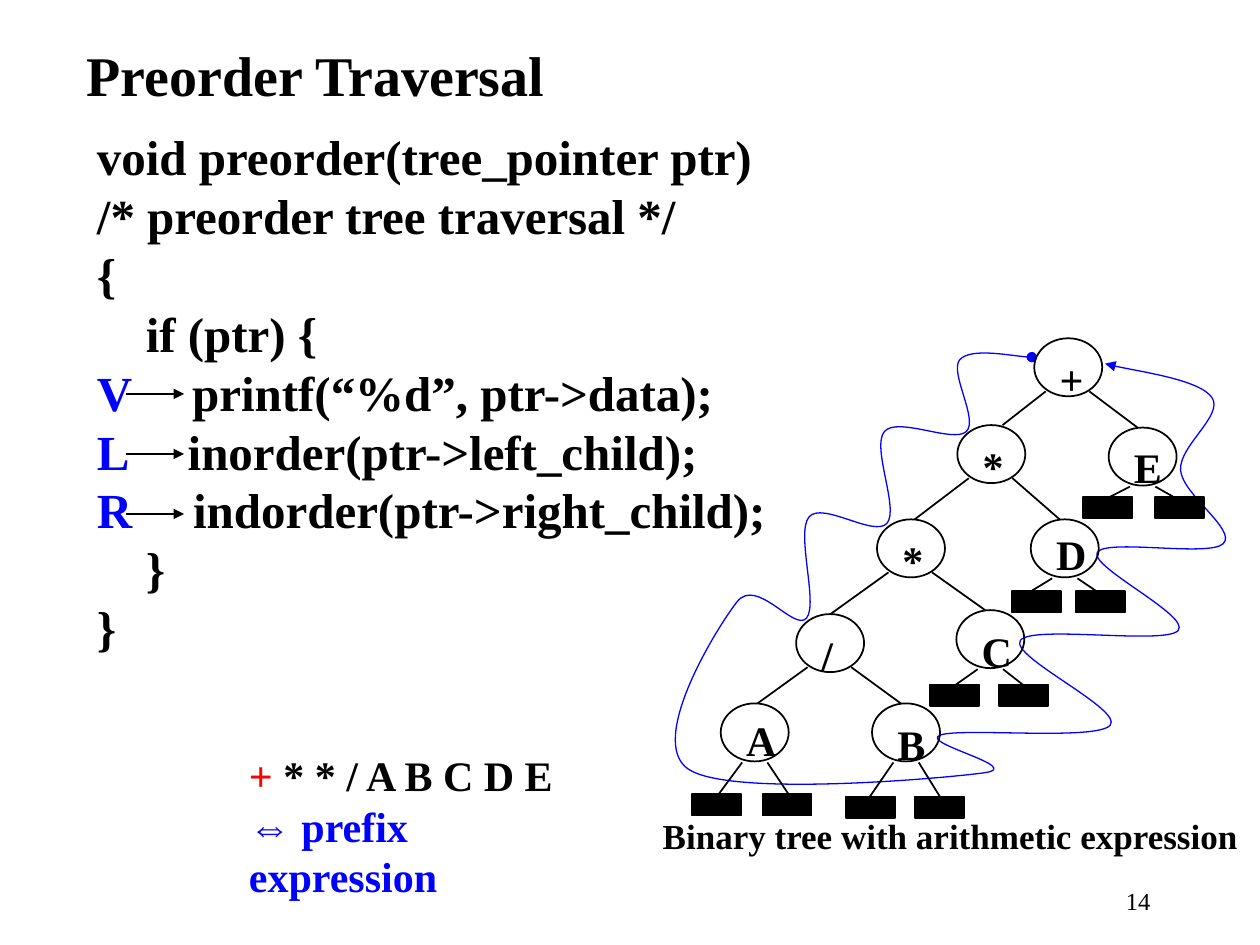
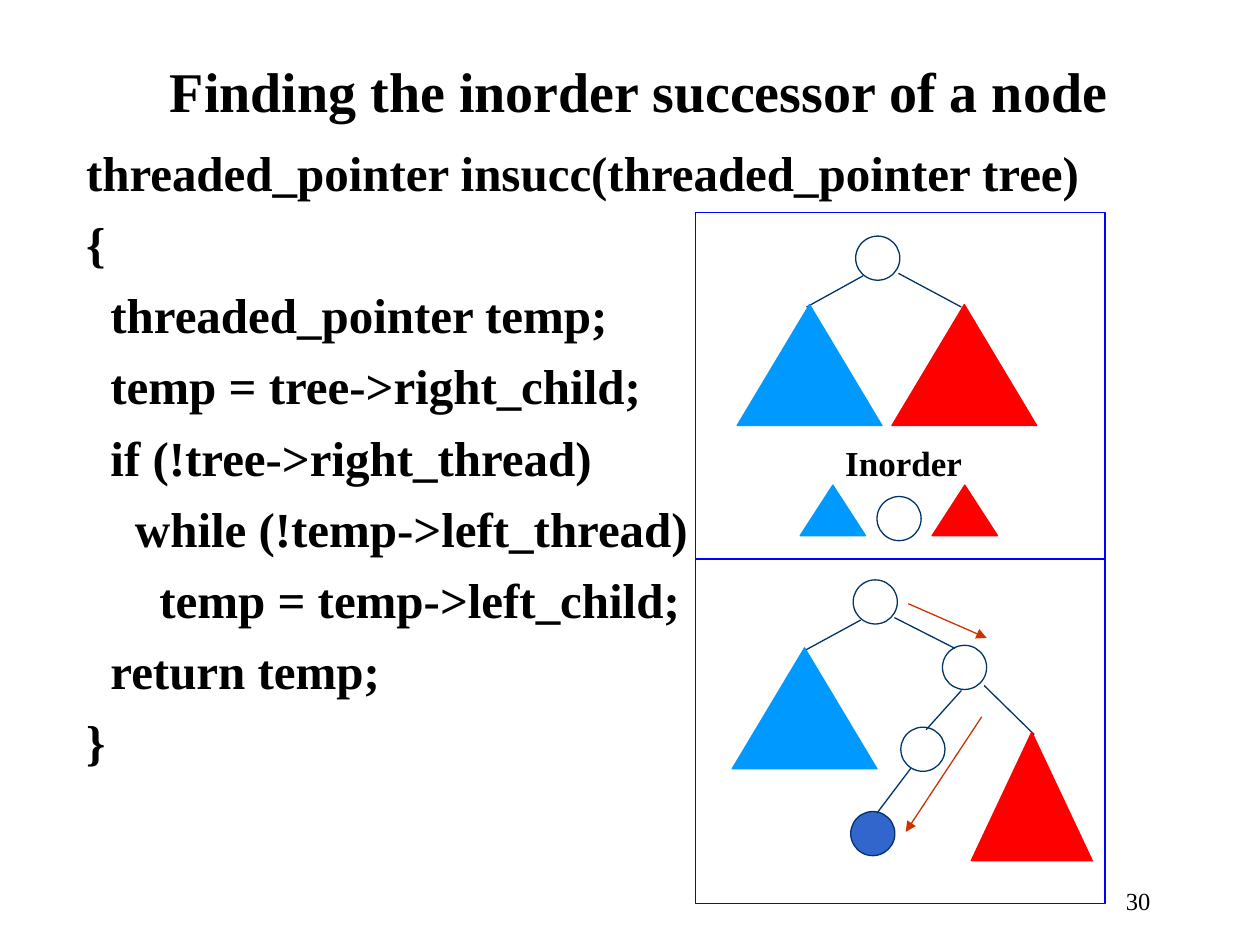
from lxml import etree
from pptx import Presentation
from pptx.dml.color import RGBColor
from pptx.enum.shapes import MSO_CONNECTOR, MSO_SHAPE
from pptx.enum.text import MSO_ANCHOR, MSO_AUTO_SIZE, PP_ALIGN
from pptx.oxml.ns import qn
from pptx.util import Cm, Pt

STRAIGHT = MSO_CONNECTOR.STRAIGHT
OVAL, RECT, TRIANGLE = MSO_SHAPE.OVAL, MSO_SHAPE.RECTANGLE, MSO_SHAPE.ISOSCELES_TRIANGLE
LEFT, RIGHT = PP_ALIGN.LEFT, PP_ALIGN.RIGHT
TOP, NO_FIT = MSO_ANCHOR.TOP, MSO_AUTO_SIZE.NONE

BLACK = RGBColor(0x00, 0x00, 0x00)
BLUE = RGBColor(0x00, 0x00, 0xFF)
RED = RGBColor(0xFF, 0x00, 0x00)
NAVY = RGBColor(0x00, 0x33, 0x66)
SKY = RGBColor(0x00, 0x99, 0xFF)
SUCCESSOR_BLUE = RGBColor(0x33, 0x66, 0xCC)
RUST = RGBColor(0xCC, 0x33, 0x00)
SERIF, SANS = "Times New Roman", "Arial"

PREORDER_CODE = [
    "void preorder(tree_pointer ptr)",
    "/* preorder tree traversal */",
    "{",
    "    if (ptr) {",
    "V\tprintf(“%d”, ptr->data);",
    "L\tinorder(ptr->left_child);",
    "R\tindorder(ptr->right_child);",
    "    }",
    "}",
]
INSUCC_CODE = [
    "threaded_pointer insucc(threaded_pointer tree)",
    "{",
    "  threaded_pointer temp;",
    "  temp = tree->right_child;",
    "  if (!tree->right_thread)",
    "    while (!temp->left_thread)",
    "      temp = temp->left_child;",
    "  return temp;",
    "}",
]
STEP_INDENT = {"V": 1.92, "L": 1.83, "R": 1.94}

# Tree nodes: label, left, top, label drop, null leaves (left x, right x, drop)
NODES = [
    ("+", 7.85, 0.01, 0.18, None),
    ("*", 6.3, 1.76, 0.18, None),
    ("E", 9.35, 1.81, 0.15, (-0.51, 0.94, 1.4)),
    ("*", 4.68, 3.66, 0.18, None),
    ("D", 7.78, 3.66, 0.05, (-0.38, 0.91, 1.45)),
    ("/", 3.05, 5.57, 0.18, None),
    ("C", 6.28, 5.49, 0.18, (-0.53, 0.86, 1.5)),
    ("A", 1.53, 7.37, 0.1, (-0.58, 0.84, 1.83)),
    ("B", 4.58, 7.37, 0.18, (-0.53, 0.86, 1.88)),
]
# Parent, left child, right child, where the edge meets the left child
FAMILIES = [(0, 1, 2, 0.91), (1, 3, 4, 0.76), (3, 5, 6, 0.69), (5, 7, 8, 0.74)]
WALK = [
    (7.8, 0.39), (6.35, 0.44), (6.48, 1.89), (4.83, 1.89), (4.88, 3.74),
    (3.31, 3.61), (3.26, 5.65), (1.86, 5.32), (0.87, 8.69), (6.84, 8.77),
    (5.95, 8.01), (9.38, 7.81), (7.57, 6.1), (10.75, 5.9), (9.12, 4.33),
    (11.66, 4.15), (10.8, 2.67), (11.43, 1.2), (9.28, 0.52),
]
NODE_W, NODE_H = 1.37, 1.17
LEAF_W, LEAF_H = 0.99, 0.43
CIRCLE = 0.89


# Shared drawing helpers; positions are in centimetres
def style_run(run, size, color=BLACK, bold=True, font=SERIF):
    run.font.name, run.font.size = font, Pt(size)
    run.font.bold, run.font.color.rgb = bold, color


def add_label(slide, text, box, size, align=LEFT, bold=True, wrap=True):
    frame = slide.shapes.add_textbox(*map(Cm, box)).text_frame
    frame.word_wrap = wrap
    frame.text = text
    frame.paragraphs[0].alignment = align
    style_run(frame.paragraphs[0].runs[0], size, bold=bold)


def add_outline(slide, kind, box, line, width=0.75, fill=None):
    shape = slide.shapes.add_shape(kind, *map(Cm, box))
    shape.shadow.inherit = False
    shape.line.color.rgb, shape.line.width = line, Pt(width)
    if fill is None:
        shape.fill.background()
    else:
        shape.fill.solid()
        shape.fill.fore_color.rgb = fill


def add_end(shape, end, kind):
    etree.SubElement(shape.line._get_or_add_ln(), qn(f"a:{end}"), type=kind)


def add_line(slide, x1, y1, x2, y2, color, width=0.75, arrow=False):
    line = slide.shapes.add_connector(STRAIGHT, *map(Cm, (x1, y1, x2, y2)))
    line.line.color.rgb, line.line.width = color, Pt(width)
    if arrow:
        add_end(line, "tailEnd", "triangle")
    etree.SubElement(line._element.spPr, qn("a:effectLst"))


def place(placeholder, box):
    placeholder.left, placeholder.top, placeholder.width, placeholder.height = map(Cm, box)
    placeholder.text_frame.auto_size = NO_FIT
    placeholder.text_frame.vertical_anchor = TOP


# Frame of a slide: title, code and page number
def add_code_slide(prs, title, title_box, code, code_box, gap, page):
    slide = prs.slides.add_slide(prs.slide_layouts[1])
    heading, body = slide.placeholders
    place(heading, title_box)
    heading.text_frame.text = title
    heading.text_frame.word_wrap = False
    heading.text_frame.paragraphs[0].alignment = LEFT
    style_run(heading.text_frame.paragraphs[0].runs[0], 32)
    place(body, code_box)
    fill_code(body.text_frame, code, gap)
    add_label(slide, page, (18.16, 17.73, 5.28, 1.27), 14, RIGHT, bold=False)
    return slide


def fill_code(frame, code, gap):
    for i, text in enumerate(code):
        line = frame.add_paragraph() if i else frame.paragraphs[0]
        line.space_before = Pt(gap if i else 0)
        step, tab, statement = text.partition("\t")
        # The tab after a step letter runs to the hanging indent
        indent = Cm(STEP_INDENT[step] if tab else 0)
        props = line._p.get_or_add_pPr()
        props.set("marL", str(int(indent)))
        props.set("indent", str(-int(indent)))
        etree.SubElement(props, qn("a:buNone"))
        if not tab:
            line.text = text
            style_run(line.runs[0], 28)
            continue
        for part, color in ((step, BLUE), (tab + statement, BLACK)):
            run = line.add_run()
            run.text = part
            style_run(run, 28, color)


# Preorder slide
def add_step_arrows(slide, left, top):
    for i in range(3):
        y = top + 1.21 * i
        add_line(slide, left, y, left + 1.17, y, BLACK, arrow=True)


def add_prefix_note(slide, box):
    frame = slide.shapes.add_textbox(*map(Cm, box)).text_frame
    frame.word_wrap = True
    result, meaning = frame.paragraphs[0], frame.add_paragraph()
    for line, text, color, bold, font in (
        (result, "+", RED, True, SERIF),
        (result, " * * / A B C D E", BLACK, True, SERIF),
        (meaning, "⇔", BLUE, False, SANS),
        (meaning, " prefix expression", BLUE, True, SERIF),
    ):
        run = line.add_run()
        run.text = text
        style_run(run, 24, color, bold, font)


def curve_points(stops):
    """Two handles and an end for each piece of a smooth curve."""
    padded = [stops[0], *stops, stops[-1]]
    points = []
    for before, start, end, after in zip(padded, padded[1:], padded[2:], padded[3:]):
        points.append(tuple(s + (e - b) / 6 for b, s, e in zip(before, start, end)))
        points.append(tuple(e - (a - s) / 6 for s, e, a in zip(start, end, after)))
        points.append(end)
    return points


def add_walk(slide, left, top):
    start, *points = [(Cm(left + x), Cm(top + y)) for x, y in [WALK[0], *curve_points(WALK)]]
    builder = slide.shapes.build_freeform(*start)
    builder.add_line_segments(points, close=False)
    walk = builder.convert_to_shape()
    # Join each three points into one curved piece
    segments = list(walk._element.iter(qn("a:lnTo")))
    for i in range(0, len(segments), 3):
        curve = etree.SubElement(segments[i].getparent(), qn("a:cubicBezTo"))
        for segment in segments[i:i + 3]:
            curve.append(segment[0])
            segment.getparent().remove(segment)
    walk.shadow.inherit = False
    walk.fill.background()
    walk.line.color.rgb, walk.line.width = BLUE, Pt(0.75)
    add_end(walk, "headEnd", "oval")
    add_end(walk, "tailEnd", "triangle")


def add_null_leaves(slide, x, y, left_leaf, right_leaf, drop):
    for leaf, start, end in ((left_leaf, 0.43, -0.08), (right_leaf, 0.94, 1.4)):
        add_outline(slide, RECT, (x + leaf, y + drop, LEAF_W, LEAF_H), BLACK, 1, BLACK)
        add_line(slide, x + start, y + 1.19, x + end, y + drop + 0.05, BLACK, 1)


def add_expression_tree(slide, left, top):
    add_walk(slide, left, top)
    for label, x, y, label_drop, leaves in NODES:
        x, y = left + x, top + y
        add_outline(slide, OVAL, (x, y, NODE_W, NODE_H), BLACK, 1)
        add_label(slide, label, (x + 0.26, y + label_drop, 1.2, 1.27), 24)
        if leaves:
            add_null_leaves(slide, x, y, *leaves)
    for parent, left_child, right_child, left_end in FAMILIES:
        _, px, py, *_ = NODES[parent]
        for child, start, end in ((left_child, 0.23, left_end), (right_child, 1.11, 0.58)):
            _, cx, cy, *_ = NODES[child]
            add_line(slide, left + px + start, top + py + 1.07,
                     left + cx + end, top + cy, BLACK, 1)
    add_label(slide, "Binary tree with arithmetic expression",
              (left + 0.11, top + 9.48, 12.12, 1.12), 20, wrap=False)


# Successor slide
def add_parts(slide, left, top, circles, branches, triangles):
    for x, y, fill in circles:
        add_outline(slide, OVAL, (left + x, top + y, CIRCLE, CIRCLE), NAVY, fill=fill)
    for x1, y1, x2, y2, color in branches:
        add_line(slide, left + x1, top + y1, left + x2, top + y2, color, arrow=color == RUST)
    for x, y, width, height, color in triangles:
        add_outline(slide, TRIANGLE, (left + x, top + y, width, height), color, fill=color)


def add_inorder_case(slide, left, top):
    add_parts(
        slide, left, top,
        circles=[(3.23, 0.47, None), (3.66, 5.72, None)],
        branches=[(3.38, 1.27, 2.24, 1.9, NAVY), (4.09, 1.22, 5.36, 1.9, NAVY)],
        triangles=[(0.84, 1.85, 2.92, 2.44, SKY), (3.96, 1.85, 2.92, 2.44, RED),
                   (2.11, 5.49, 1.32, 1.02, SKY), (4.77, 5.49, 1.32, 1.02, RED)],
    )
    add_label(slide, "Inorder", (left + 2.77, top + 4.48, 2.87, 1.12), 20, wrap=False)


def add_successor_case(slide, left, top):
    add_parts(
        slide, left, top,
        circles=[(3.18, 0.42, None), (4.98, 1.74, None), (4.14, 3.39, None),
                 (3.13, 5.09, SUCCESSOR_BLUE)],
        branches=[(3.33, 1.23, 2.19, 1.85, NAVY), (4.01, 1.18, 5.23, 1.8, NAVY),
                  (5.36, 2.65, 4.65, 3.44, NAVY), (4.34, 4.22, 3.66, 5.12, NAVY),
                  (5.82, 2.55, 6.83, 3.54, NAVY),
                  (4.29, 0.9, 5.87, 1.59, RUST), (5.77, 3.18, 4.24, 5.5, RUST)],
        triangles=[(0.74, 1.79, 2.92, 2.44, SKY), (5.56, 3.49, 2.44, 2.59, RED)],
    )


def add_successor_panel(slide, left, top, width, height):
    middle = top + 6.98
    add_inorder_case(slide, left, top)
    add_successor_case(slide, left, middle)
    add_outline(slide, RECT, (left, top, width, height), BLUE)
    add_line(slide, left, middle, left + width, middle, BLUE)


def main():
    prs = Presentation()
    prs.slide_width, prs.slide_height = Cm(25.4), Cm(19.05)

    preorder = add_code_slide(
        prs, "Preorder Traversal", (1.49, 0.69, 9.88, 1.63),
        PREORDER_CODE, (1.7, 2.43, 19.48, 11.43), 0, "14")
    add_step_arrows(preorder, 2.54, 7.94)
    add_prefix_note(preorder, (4.77, 14.99, 7.67, 2.29))
    add_expression_tree(preorder, 13, 6.81)

    successor = add_code_slide(
        prs, "Finding the inorder successor of a node", (3.17, 1.02, 19.46, 1.63),
        INSUCC_CODE, (1.48, 2.75, 21.26, 12.95), 7, "30")
    add_successor_panel(successor, 14.02, 4.29, 8.26, 13.93)

    prs.save("out.pptx")


if __name__ == "__main__":
    main()
